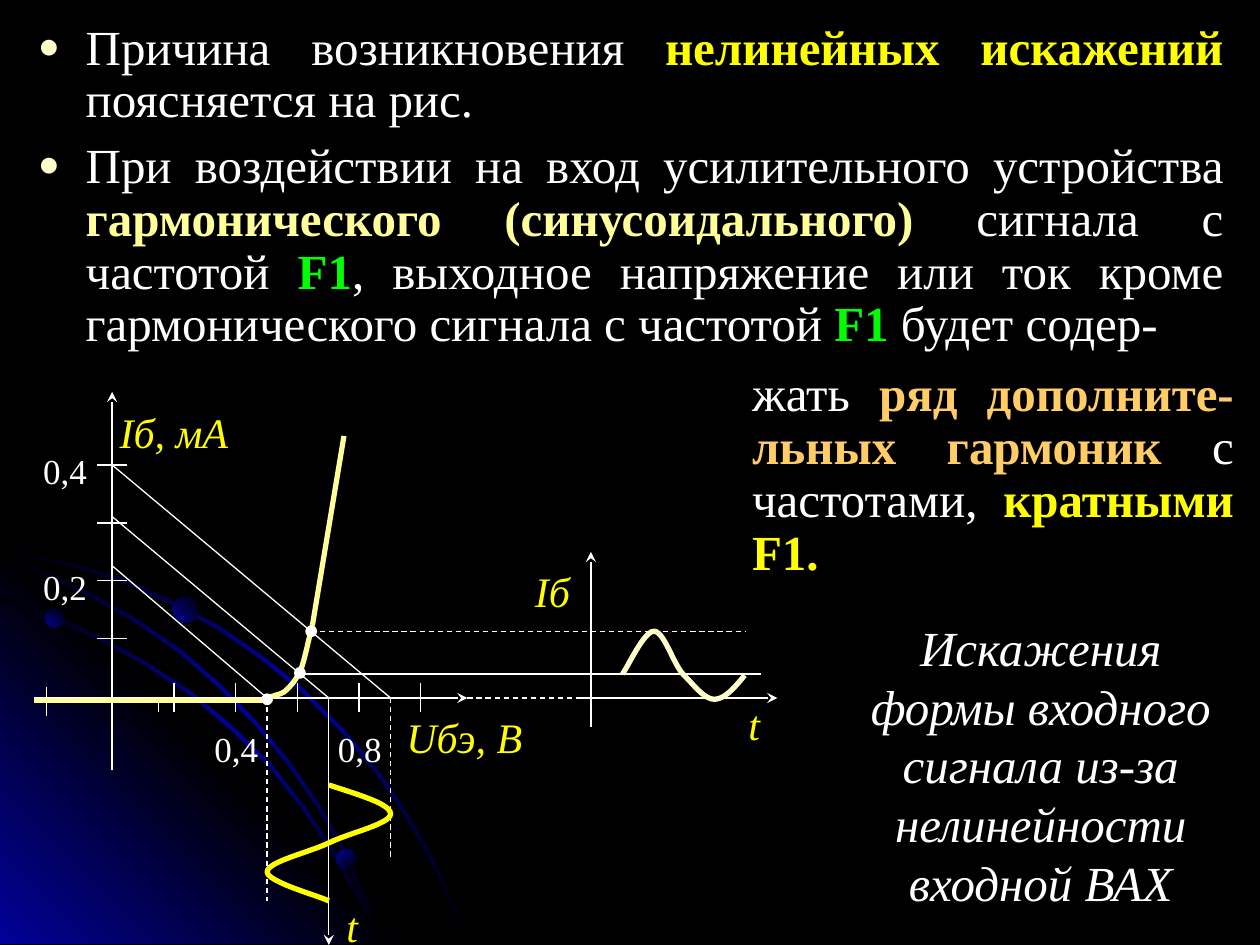
"""Build a slide explaining nonlinear distortion caused by a curved input characteristic."""
from dataclasses import dataclass

from lxml.etree import SubElement
from pptx import Presentation
from pptx.dml.color import RGBColor as RGB
from pptx.enum.dml import MSO_LINE
from pptx.enum.shapes import MSO_CONNECTOR, MSO_SHAPE
from pptx.enum.text import MSO_ANCHOR, MSO_AUTO_SIZE, PP_ALIGN
from pptx.oxml.ns import qn
from pptx.util import Inches, Pt


@dataclass(frozen=True)
class Theme:
    font: str = "Times New Roman"
    black: str = "000000"
    white: str = "FFFFFF"
    navy: str = "010199"
    yellow: str = "FFFF00"
    pale: str = "FFFF99"
    cream: str = "FFFFCC"
    green: str = "00FF00"
    orange: str = "FFCC66"
    text: int = 28
    axis: int = 24
    tick: int = 20
    thin: float = 0.75
    medium: float = 1
    thick: float = 3


T = Theme()
BAND = [T.black, T.navy, T.black]

ARCS = [
    [(0, 4.35), (0.28, 4.41), (0.57, 4.47), (0.98, 4.59), (1.36, 4.77), (1.74, 4.97),
     (2.09, 5.21), (2.42, 5.48), (2.72, 5.78), (3, 6.11), (3.25, 6.48), (3.39, 6.73),
     (3.52, 6.98), (3.62, 7.23), (3.72, 7.49)],
    [(0, 4.75), (0.41, 4.88), (0.79, 5.05), (1.17, 5.26), (1.52, 5.49), (1.84, 5.76),
     (2.15, 6.06), (2.42, 6.4), (2.66, 6.76), (2.86, 7.12), (2.96, 7.3), (3.03, 7.49)],
    [(0, 4.42), (0.39, 4.55), (0.76, 4.73), (1.11, 4.93), (1.44, 5.16), (1.75, 5.43),
     (2.04, 5.73), (2.29, 6.03), (2.54, 6.39), (2.69, 6.65), (2.82, 6.93), (2.94, 7.2),
     (3.03, 7.49)],
]
DIODE_KNEE = [(2.12, 5.54), (2.13, 5.53), (2.16, 5.53), (2.18, 5.52), (2.21, 5.51),
              (2.24, 5.51), (2.28, 5.47), (2.31, 5.44), (2.35, 5.4), (2.39, 5.31),
              (2.42, 5.23), (2.46, 5.03), (2.48, 4.96)]
INPUT_WAVE = [(2.61, 6.23), (2.85, 6.31), (3.1, 6.38), (3.1, 6.46), (3.1, 6.54),
              (2.77, 6.61), (2.61, 6.69), (2.44, 6.77), (2.12, 6.84), (2.12, 6.92),
              (2.12, 7), (2.53, 7.11), (2.61, 7.15)]
OUTPUT_WAVE = [(5.91, 5.36), (5.83, 5.46), (5.75, 5.55), (5.67, 5.55), (5.59, 5.55),
               (5.51, 5.44), (5.42, 5.35), (5.34, 5.26), (5.27, 5.01), (5.19, 5.01),
               (5.11, 5.01), (4.98, 5.3), (4.94, 5.35)]

CAUSES = [
    [("Причина возникновения ", T.white, False), ("нелинейных искажений", T.yellow, True),
     (" поясняется на рис.", T.white, False)],
    [("При воздействии на вход усилительного устройства ", T.white, False),
     ("гармонического (синусоидального)", T.pale, True),
     (" сигнала с частотой ", T.white, False), ("F1", T.green, True),
     (", выходное напряжение или ток кроме гармонического сигнала с частотой ",
      T.white, False), ("F1", T.green, True), (" будет содер-", T.white, False)],
]
HARMONICS = [[("жать ", T.white, False), ("ряд дополните-льных гармоник", T.orange, True),
              (" с частотами, ", T.white, False), ("кратными F1.", T.yellow, True)]]
CAPTION = [[("Искажения формы входного", T.white, False)],
           [("сигнала из-за нелинейности входной ВАХ", T.white, False)]]


def fill_gradient(sp, colors, angle):
    """Fill a shape with evenly spaced colours and no outline."""
    sp.shadow.inherit = False
    sp.line.fill.background()
    sp.fill.gradient()
    sp.fill.gradient_angle = 360 - angle
    stops = sp.element.spPr.find(qn("a:gradFill")).find(qn("a:gsLst"))
    stops.clear()
    for i, color in enumerate(colors):
        stop = SubElement(stops, qn("a:gs"), pos=str(100000 * i // (len(colors) - 1)))
        SubElement(stop, qn("a:srgbClr"), val=color)


def add_outline(s, points, close):
    """Draw a freeform through points given in inches."""
    start, *rest = [(Inches(x), Inches(y)) for x, y in points]
    builder = s.shapes.build_freeform(*start, scale=1.0)
    builder.add_line_segments(rest, close=close)
    return builder.convert_to_shape()


def add_arc_band(s, edge):
    """Draw a narrow glowing band below an edge."""
    inner = [(max(x - 0.02, 0), min(y + 0.02, 7.49)) for x, y in reversed(edge)]
    fill_gradient(add_outline(s, edge + inner, True), BAND, 225)


def add_dot(s, x, y, size):
    """Add a circle with its top left corner at x, y."""
    return s.shapes.add_shape(MSO_SHAPE.OVAL, *map(Inches, (x, y, size, size)))


def sample_curve(controls, steps=12):
    """Return points along chained cubic Bezier segments."""
    points = [controls[0]]
    for i in range(0, len(controls) - 1, 3):
        for n in range(1, steps + 1):
            t = n / steps
            weights = ((1 - t) ** 3, 3 * t * (1 - t) ** 2, 3 * t * t * (1 - t), t ** 3)
            points.append(tuple(sum(w * p[axis] for w, p in zip(weights, controls[i:i + 4]))
                                for axis in (0, 1)))
    return points


def add_curve(s, controls, color):
    """Draw a thick smooth open curve."""
    sp = add_outline(s, sample_curve(controls), False)
    sp.shadow.inherit = False
    sp.fill.background()
    sp.line.color.rgb = RGB.from_string(color)
    sp.line.width = Pt(T.thick)


def add_line(s, x1, y1, x2, y2, width=T.thin, color=T.white, dash=False, arrow=False):
    """Draw a straight line, optionally dashed or with an arrowhead."""
    line = s.shapes.add_connector(MSO_CONNECTOR.STRAIGHT, *map(Inches, (x1, y1, x2, y2)))
    line.line.color.rgb = RGB.from_string(color)
    line.line.width = Pt(width)
    if dash:
        line.line.dash_style = MSO_LINE.DASH
    spPr = line.element.spPr
    if arrow:
        SubElement(spPr.find(qn("a:ln")), qn("a:tailEnd"), type="stealth")
    SubElement(spPr, qn("a:effectLst"))


def add_bullet(p):
    """Give a paragraph a hanging round bullet."""
    pPr = p._p.get_or_add_pPr()
    pPr.set("marL", str(Inches(0.38)))
    pPr.set("indent", str(-Inches(0.38)))
    SubElement(SubElement(pPr, qn("a:buClr")), qn("a:srgbClr"), val=T.cream)
    SubElement(pPr, qn("a:buSzPct"), val="75000")
    SubElement(pPr, qn("a:buChar"), char="●")


def write_text(sp, paragraphs, size, align, inset=True, bullet=False, italic=False, spacing=1.0):
    """Fill a text shape with paragraphs of (text, colour, bold) runs."""
    tf = sp.text_frame
    dx, dy = (Inches(0.1), Inches(0.05)) if inset else (0, 0)
    frame = {"word_wrap": True, "auto_size": MSO_AUTO_SIZE.NONE,
             "vertical_anchor": MSO_ANCHOR.TOP, "margin_left": dx, "margin_right": dx,
             "margin_top": dy, "margin_bottom": dy}
    for key, value in frame.items():
        setattr(tf, key, value)
    for i, runs in enumerate(paragraphs):
        p = tf.add_paragraph() if i else tf.paragraphs[0]
        if bullet:
            add_bullet(p)
        p.alignment, p.line_spacing = align, spacing
        p.space_before = Pt(7 if i and bullet else 0)
        for text, color, bold in runs:
            r = p.add_run()
            r.text = text
            font = {"name": T.font, "size": Pt(size), "bold": bold, "italic": italic}
            for key, value in font.items():
                setattr(r.font, key, value)
            r.font.color.rgb = RGB.from_string(color)


def add_text(s, box, paragraphs, size=T.text, align=PP_ALIGN.CENTER, **options):
    """Add a text box at left, top, width, height."""
    write_text(s.shapes.add_textbox(*map(Inches, box)), paragraphs, size, align, **options)


def add_backdrop(s):
    """Draw the glowing corner with its arcs and orbs."""
    add_arc_band(s, ARCS[0])
    corner = add_outline(s, [(3.22, 7.49), (0, 7.49), (0, 4.27)], True)
    fill_gradient(corner, [T.navy, T.black, T.navy], 135)
    for edge in ARCS[1:]:
        add_arc_band(s, edge)
    for x, y, size, angle in [(0.36, 4.83, 0.15, 135), (2.67, 6.74, 0.16, 225),
                              (1.37, 4.73, 0.21, 135)]:
        fill_gradient(add_dot(s, x, y, size), [T.black, T.navy], angle)


def add_diagram(s):
    """Draw the characteristic, load lines and both signals."""
    for axis in [(0.27, 5.54, 3.71, 5.54), (0.89, 6.11, 0.89, 3.11)]:
        add_line(s, *axis, width=T.medium, arrow=True)
    for axis in [(2.61, 5.54, 2.61, 7.5), (4.57, 5.54, 6.17, 5.54), (4.69, 5.77, 4.69, 4.38)]:
        add_line(s, *axis, arrow=True)
    for i in range(4):
        add_line(s, 0.77, 3.69 + 0.46 * i, 1.01, 3.69 + 0.46 * i)
    for i in range(5):
        add_line(s, 1.38 + 0.49 * i, 5.42, 1.38 + 0.49 * i, 5.65)
    for tick in [(0.37, 5.45, 0.37, 5.68), (1.26, 5.54, 1.26, 5.65)]:
        add_line(s, *tick)
    for branch in [(0.27, 5.56, 2.09, 5.56), (2.48, 4.96, 2.73, 3.46)]:
        add_line(s, *branch, width=T.thick, color=T.pale)
    add_curve(s, DIODE_KNEE, T.pale)
    for guide in [(2.12, 5.54, 2.12, 7.15), (3.1, 5.54, 3.1, 6.81),
                  (2.47, 5.01, 5.92, 5.01), (3.71, 5.54, 4.57, 5.54)]:
        add_line(s, *guide, dash=True)
    add_curve(s, INPUT_WAVE, T.yellow)
    for x, y in [(3.1, 3.69), (2.61, 4.1), (2.12, 4.49)]:
        add_line(s, x, 5.54, 0.89, y)
    add_line(s, 2.42, 5.35, 6.04, 5.35)
    for x, y in [(2.43, 4.97), (2.34, 5.3), (2.08, 5.51)]:
        dot = add_dot(s, x, y, 0.08)
        dot.shadow.inherit = False
        dot.fill.solid()
        dot.fill.fore_color.rgb = dot.line.color.rgb = RGB.from_string(T.white)
        dot.line.width = Pt(T.medium)
    add_curve(s, OUTPUT_WAVE, T.cream)
    for text, x, y in [("0,2", 0.27, 4.49), ("0,4", 0.27, 3.57), ("0,4", 1.63, 5.77),
                       ("0,8", 2.61, 5.77)]:
        add_text(s, (x, y, 0.49, 0.35), [[(text, T.white, False)]], T.tick, inset=False)
    for text, x, y, width in [("Iб, мА", 0.89, 3.23, 0.98), ("Uбэ, В", 3.13, 5.65, 1.11),
                              ("t", 2.61, 7.15, 0.37), ("t", 5.8, 5.54, 0.37),
                              ("Iб", 4.2, 4.49, 0.37)]:
        add_text(s, (x, y, width, 0.35), [[(text, T.yellow, False)]], T.axis,
                 inset=False, italic=True)


def main():
    """Assemble and save the slide."""
    prs = Presentation()
    prs.slide_width, prs.slide_height = Inches(10), Inches(7.5)
    s = prs.slides.add_slide(prs.slide_layouts[1])
    s.background.fill.solid()
    s.background.fill.fore_color.rgb = RGB.from_string(T.black)
    title, body = s.placeholders
    title.element.getparent().remove(title.element)
    body.left, body.top, body.width, body.height = map(Inches, (0.2, 0.13, 9.61, 2.76))
    write_text(body, CAUSES, T.text, PP_ALIGN.JUSTIFY, bullet=True, spacing=0.9)
    add_backdrop(s)
    add_diagram(s)
    add_text(s, (6.73, 4.85, 3.06, 2.52), CAPTION, italic=True)
    add_text(s, (5.87, 2.88, 4.02, 2.49), HARMONICS, align=PP_ALIGN.JUSTIFY, spacing=0.9)
    prs.save("out.pptx")


if __name__ == "__main__":
    main()
